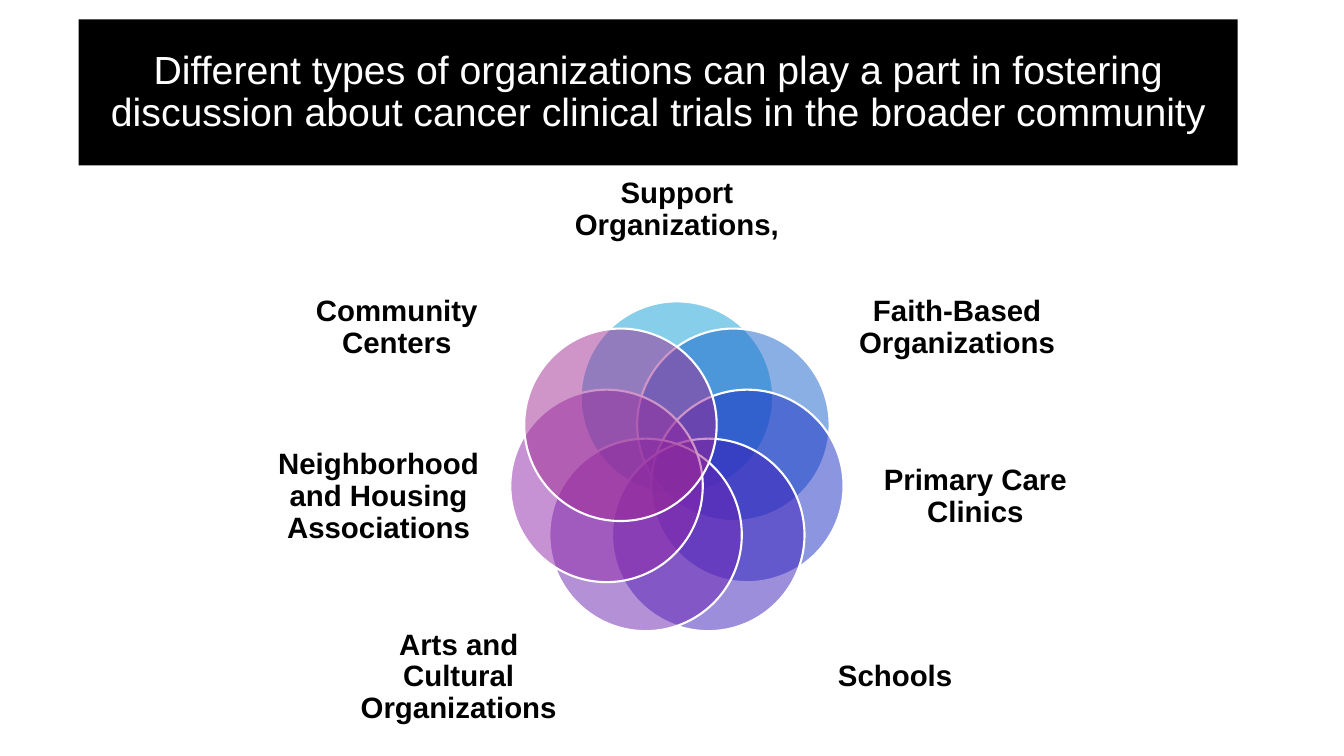
import math

import lxml.etree
import pptx
import pptx.dml.color
import pptx.enum.shapes
import pptx.enum.text
import pptx.oxml.ns
import pptx.util

Cm = pptx.util.Cm
Pt = pptx.util.Pt
RGBColor = pptx.dml.color.RGBColor

BLACK = RGBColor(0x00, 0x00, 0x00)
WHITE = RGBColor(0xFF, 0xFF, 0xFF)
SKY = RGBColor(0x0F, 0x9E, 0xD5)
BLUE = RGBColor(0x14, 0x61, 0xCC)
ROYAL = RGBColor(0x19, 0x2C, 0xC3)
INDIGO = RGBColor(0x3C, 0x1E, 0xBA)
VIOLET = RGBColor(0x6A, 0x22, 0xB1)
PURPLE = RGBColor(0x8F, 0x27, 0xA8)
MAGENTA = RGBColor(0xA0, 0x2B, 0x93)

FONT = "Arial"
RING_X, RING_Y, RING_RADIUS = 17.06, 11.84, 1.82
CIRCLE_SIZE = 4.85

TOP = (0, 5.3, 5.54, 2.97)
UPPER = (7.06, 8.27, 5.23, 3.28)
MIDDLE = (7.52, 12.53, 5.16, 3.48)
LOWER = (5.5, 17.07, 5.54, 3.2)

ORGANIZATIONS = [
    ("Support Organizations,", SKY, TOP, 1),
    ("Faith-Based Organizations", BLUE, UPPER, 1),
    ("Primary Care Clinics", ROYAL, MIDDLE, 1),
    ("Schools", INDIGO, LOWER, 1),
    ("Arts and Cultural Organizations", VIOLET, LOWER, -1),
    ("Neighborhood and Housing Associations", PURPLE, MIDDLE, -1),
    ("Community Centers", MAGENTA, UPPER, -1),
]


def write_text(text_frame, text, size, color, bold):
    text_frame.word_wrap = True
    text_frame.auto_size = pptx.enum.text.MSO_AUTO_SIZE.NONE
    text_frame.vertical_anchor = pptx.enum.text.MSO_ANCHOR.MIDDLE
    text_frame.text = text
    paragraph = text_frame.paragraphs[0]
    paragraph.alignment = pptx.enum.text.PP_ALIGN.CENTER
    paragraph.line_spacing = 0.9
    paragraph.font.name = FONT
    paragraph.font.size = Pt(size)
    paragraph.font.bold = bold
    paragraph.font.color.rgb = color


def format_title(title, text):
    title.left, title.top = Cm(1.98), Cm(0.49)
    title.width, title.height = Cm(29.21), Cm(3.68)
    title.fill.solid()
    title.fill.fore_color.rgb = BLACK
    write_text(title.text_frame, text, 28, WHITE, False)


def add_circle(shapes, center_x, center_y, color):
    circle = shapes.add_shape(
        pptx.enum.shapes.MSO_SHAPE.OVAL,
        Cm(center_x - CIRCLE_SIZE / 2), Cm(center_y - CIRCLE_SIZE / 2),
        Cm(CIRCLE_SIZE), Cm(CIRCLE_SIZE))
    circle.shadow.inherit = False
    circle.fill.solid()
    circle.fill.fore_color.rgb = color
    color_element = circle.fill._xPr.find(".//" + pptx.oxml.ns.qn("a:srgbClr"))
    lxml.etree.SubElement(color_element, pptx.oxml.ns.qn("a:alpha"), val="50000")
    circle.line.color.rgb = WHITE
    circle.line.width = Pt(1.5)


def add_label(shapes, text, center_x, center_y, width, height):
    label = shapes.add_textbox(
        Cm(center_x - width / 2), Cm(center_y - height / 2), Cm(width), Cm(height))
    text_frame = label.text_frame
    text_frame.margin_left = text_frame.margin_right = 0
    text_frame.margin_top = text_frame.margin_bottom = 0
    write_text(text_frame, text, 21, BLACK, True)


def add_venn(slide):
    shapes = slide.shapes.add_group_shape().shapes
    for index, (text, color, place, side) in enumerate(ORGANIZATIONS):
        angle = 2 * math.pi * index / len(ORGANIZATIONS)
        add_circle(shapes, RING_X + RING_RADIUS * math.sin(angle),
                   RING_Y - RING_RADIUS * math.cos(angle), color)
        offset, center_y, width, height = place
        add_label(shapes, text, RING_X + side * offset, center_y, width, height)


def main():
    presentation = pptx.Presentation()
    presentation.slide_width = Cm(33.87)
    presentation.slide_height = Cm(19.05)
    slide = presentation.slides.add_slide(presentation.slide_layouts[5])
    format_title(
        slide.shapes.title,
        "Different types of organizations can play a part in fostering "
        "discussion about cancer clinical trials in the broader community")
    add_venn(slide)
    presentation.save("out.pptx")


if __name__ == "__main__":
    main()
